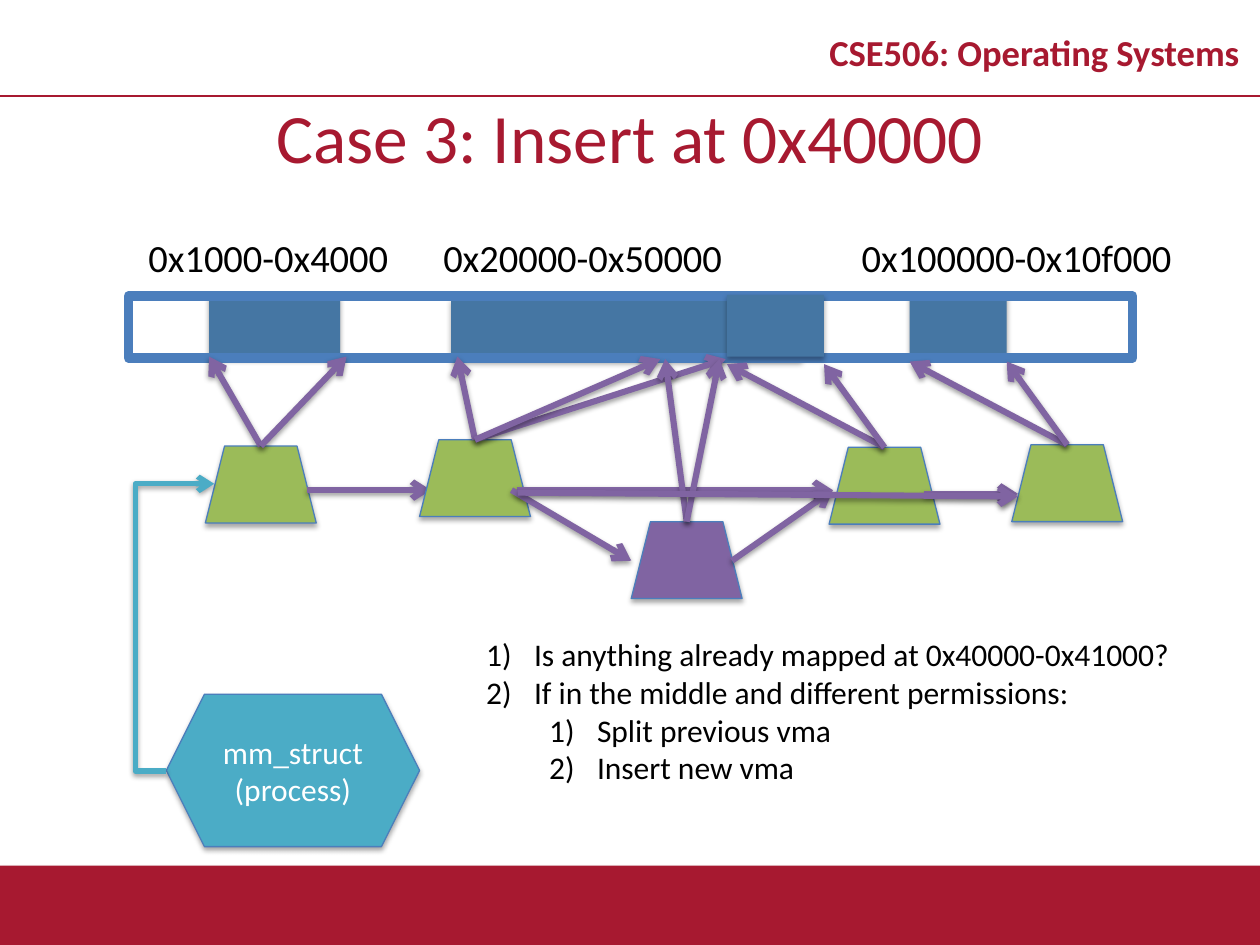
from dataclasses import dataclass
from lxml.etree import SubElement
from pptx import Presentation
from pptx.dml.color import RGBColor
from pptx.enum.shapes import MSO_CONNECTOR as Wire, MSO_SHAPE as Kind
from pptx.enum.text import MSO_ANCHOR as Anchor, MSO_AUTO_SIZE as Fit, PP_ALIGN as Align
from pptx.oxml.ns import qn
from pptx.util import Inches, Pt


@dataclass(frozen=True)
class Theme:
    font: str = "Calibri"
    red: str = "A71930"
    blue: str = "4576A3"
    edge: str = "4B7EBC"
    green: str = "9BBB59"
    purple: str = "8064A2"
    teal: str = "4BACC6"
    black: str = "000000"
    white: str = "FFFFFF"
    title: float = 39.6
    head: float = 20.9
    label: float = 22
    body: float = 18


def rgb(code):
    return RGBColor.from_string(code)


def write(frame, text, size, color, align=Align.LEFT, bold=False, space=None,
          anchor=Anchor.TOP, wrap=True, fit=Fit.NONE):
    frame.word_wrap = wrap
    frame.auto_size = fit
    frame.vertical_anchor = anchor
    frame.text = text
    for para in frame.paragraphs:
        para.alignment = align
        para.line_spacing = space
        for run in para.runs:
            font = run.font
            font.name, font.size, font.bold = Theme.font, Pt(size), bold
            font.color.rgb = rgb(color)


class Deck:
    def __init__(self, theme):
        self.theme = theme
        self.file = Presentation()
        self.file.slide_width, self.file.slide_height = Inches(10), Inches(7.5)
        self.slide = self.file.slides.add_slide(self.file.slide_layouts[5])
        self.shapes = self.slide.shapes

    def shade(self, props, alpha, dist):
        effect = props.find(qn("a:effectLst"))
        if effect is None:
            effect = SubElement(props, qn("a:effectLst"))
        outer = SubElement(effect, qn("a:outerShdw"), blurRad=str(Pt(3.1)),
                           dist=str(Pt(dist)), dir="5400000", rotWithShape="0")
        tone = SubElement(outer, qn("a:srgbClr"), val=self.theme.black)
        SubElement(tone, qn("a:alpha"), val=str(alpha * 1000))

    def title(self, text, *box):
        item = self.shapes.title
        item.left, item.top, item.width, item.height = map(Inches, box)
        write(item.text_frame, text, self.theme.title, self.theme.red,
              align=Align.CENTER, anchor=Anchor.MIDDLE)

    def text(self, text, *box, **style):
        item = self.shapes.add_textbox(*map(Inches, box))
        write(item.text_frame, text, **style)
        return item.text_frame

    def steps(self, rows, *box):
        frame = self.text("\n".join(text for _, text in rows), *box,
                          size=self.theme.body, color=self.theme.black,
                          fit=Fit.SHAPE_TO_FIT_TEXT)
        for para, (level, _) in zip(frame.paragraphs, rows):
            para.level = level
            props = para._p.get_or_add_pPr()
            props.set("marL", str(Inches(0.38 + level * 0.5)))
            props.set("indent", str(Inches(-0.38)))
            SubElement(props, qn("a:buFont"), typeface="+mj-lt")
            SubElement(props, qn("a:buAutoNum"), type="arabicParenR")

    def shape(self, kind, *box, fill=None, line=None, width=0.75):
        item = self.shapes.add_shape(kind, *map(Inches, box))
        item.shadow.inherit = False
        if fill:
            item.fill.solid()
            item.fill.fore_color.rgb = rgb(fill)
            self.shade(item._element.spPr, 35, 1.8)
        else:
            item.fill.background()
        if line:
            item.line.color.rgb = rgb(line)
            item.line.width = Pt(width)
        else:
            item.line.fill.background()
        return item

    def line(self, start, end, color, width=3.5, arrow=True, bend=None):
        kind = Wire.STRAIGHT if bend is None else Wire.ELBOW
        item = self.shapes.add_connector(kind, *map(Inches, (*start, *end)))
        item.line.color.rgb = rgb(color)
        item.line.width = Pt(width)
        props = item._element.spPr
        if bend is not None:
            guide = props.find(qn("a:prstGeom")).find(qn("a:avLst"))
            SubElement(guide, qn("a:gd"), name="adj1", fmla=f"val {round(bend * 100000)}")
        if arrow:
            SubElement(props.find(qn("a:ln")), qn("a:tailEnd"), type="arrow")
            self.shade(props, 38, 1.6)
        else:
            SubElement(props, qn("a:effectLst"))

    def node(self, left, top, fill, fan, links):
        self.shape(Kind.TRAPEZOID, left, top, 0.88, 0.61, fill=fill, line=self.theme.edge)
        for end in fan:
            self.line((left + 0.44, top), end, self.theme.purple)
        for start, end in links:
            self.line(start, end, self.theme.purple)


look = Theme()
deck = Deck(look)

deck.shape(Kind.RECTANGLE, 0, 6.87, 10, 0.63, fill=look.red)
deck.line((0, 0.76), (10, 0.76), look.red, width=1, arrow=False)
deck.text("CSE506: Operating Systems", 6.42, 0.13, 3.58, 0.63, size=look.head, color=look.red,
          align=Align.CENTER, bold=True, space=0.8, anchor=Anchor.MIDDLE)
deck.title("Case 3: Insert at 0x40000", 0, 0.76, 10, 0.63)

for left, top, wide in [(7.22, 2.33, 0.77), (3.58, 2.37, 2.78), (1.66, 2.35, 1.04)]:
    deck.shape(Kind.RECTANGLE, left, top, wide, 0.49, fill=look.blue)
deck.shape(Kind.RECTANGLE, 1.02, 2.35, 7.97, 0.49, line=look.edge, width=5.5)
deck.shape(Kind.RECTANGLE, 5.77, 2.34, 0.77, 0.49, fill=look.blue)

for text, left, wide in [("0x1000-0x4000", 1.08, 2.19), ("0x20000-0x50000", 3.42, 2.5),
                         ("0x100000-0x10f000", 6.74, 2.75)]:
    deck.text(text, left, 1.81, wide, 0.47, size=look.label, color=look.black,
              wrap=False, fit=Fit.SHAPE_TO_FIT_TEXT)

nodes = [
    (1.63, 3.54, look.green, [(1.66, 2.83), (2.75, 2.83)], [((2.44, 3.89), (3.42, 3.89))]),
    (3.33, 3.49, look.green, [(3.63, 2.83), (5.76, 2.85), (5.24, 2.85)],
     [((4.1, 3.89), (6.61, 3.89))]),
    (8.03, 3.53, look.green, [(7.22, 2.87), (7.99, 2.87)], []),
    (5.01, 4.14, look.purple, [(5.28, 2.85), (5.71, 2.85)],
     [((4.06, 3.89), (5.01, 4.45)), ((5.81, 4.45), (6.61, 3.89))]),
    (6.58, 3.55, look.green, [(5.77, 2.89), (6.54, 2.89)],
     [((7.33, 3.92), (8.08, 3.92)), ((4.11, 3.91), (8.08, 3.94))]),
]
for node in nodes:
    deck.node(*node)

root = deck.shape(Kind.HEXAGON, 1.32, 5.51, 2.01, 1.21, fill=look.teal, line=look.edge)
write(root.text_frame, "mm_struct\n(process)", look.body, look.white,
      align=Align.CENTER, anchor=Anchor.MIDDLE)
deck.line((1.32, 6.12), (1.7, 3.84), look.teal, width=3, bend=-0.65)

deck.steps([(0, "Is anything already mapped at 0x40000-0x41000?"),
            (0, "If in the middle and different permissions:"),
            (1, "Split previous vma"),
            (1, "Insert new vma")], 3.76, 4.99, 6.01, 1.31)

deck.file.save("out.pptx")
